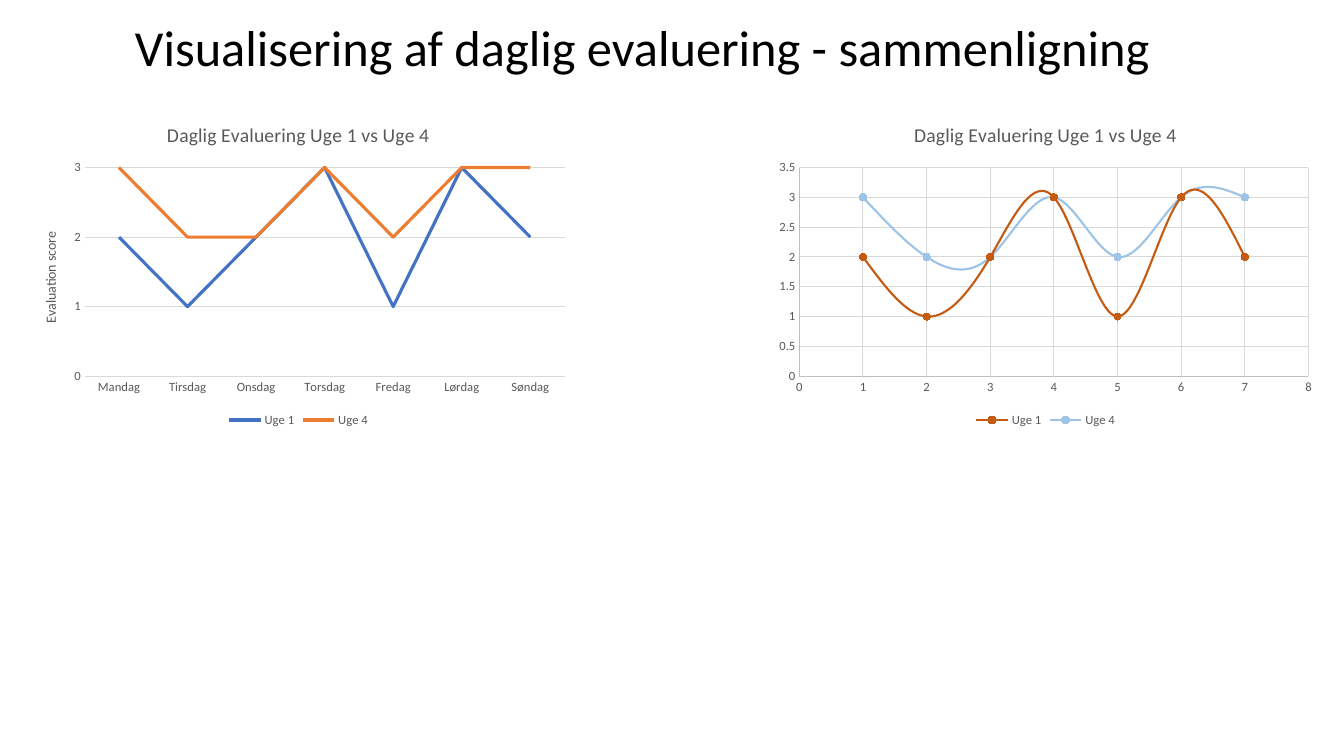
from dataclasses import dataclass
from typing import Optional

import pptx
import pptx.chart.data
import pptx.dml.color
import pptx.enum.chart
import pptx.util
from pptx.enum.chart import XL_CHART_TYPE

FONT = "Calibri"
GREY = "595959"
GRID = "D9D9D9"
AXIS = "BFBFBF"
HEADING = "Visualisering af daglig evaluering - sammenligning"
CHART_TITLE = "Daglig Evaluering Uge 1 vs Uge 4"
DAYS = ["Mandag", "Tirsdag", "Onsdag", "Torsdag", "Fredag", "Lørdag", "Søndag"]
SCORES = {"Uge 1": [2, 1, 2, 3, 1, 3, 2], "Uge 4": [3, 2, 2, 3, 2, 3, 3]}


@dataclass
class ChartPanel:
    left: float
    kind: XL_CHART_TYPE
    colors: list[str]
    line_width: float
    category_line: str
    value_line: Optional[str]
    maximum: float
    step: float
    value_title: Optional[str] = None

    @property
    def is_scatter(self) -> bool:
        return self.kind == XL_CHART_TYPE.XY_SCATTER_SMOOTH


PANELS = [
    ChartPanel(0.21, XL_CHART_TYPE.LINE, ["4472C4", "ED7D31"], 2.25,
               GRID, None, 3, 1, "Evaluation score"),
    ChartPanel(7.62, XL_CHART_TYPE.XY_SCATTER_SMOOTH, ["C55A11", "9DC3E6"], 1.5,
               AXIS, AXIS, 3.5, 0.5),
]


def rgb(color: str) -> pptx.dml.color.RGBColor:
    return pptx.dml.color.RGBColor.from_string(color)


def set_font(font, size: float, color: str) -> None:
    font.name = FONT
    font.size = pptx.util.Pt(size)
    font.bold = False
    font.color.rgb = rgb(color)


def set_line(line, color: Optional[str], width: float = 0.75) -> None:
    if color is None:
        line.fill.background()
        return
    line.color.rgb = rgb(color)
    line.width = pptx.util.Pt(width)


def set_title(owner, text: str, size: float) -> None:
    frame = owner.text_frame
    frame.text = text
    set_font(frame.paragraphs[0].font, size, GREY)


def style_axis(axis, line: Optional[str], has_grid: bool) -> None:
    axis.major_tick_mark = pptx.enum.chart.XL_TICK_MARK.NONE
    axis.minor_tick_mark = pptx.enum.chart.XL_TICK_MARK.NONE
    set_font(axis.tick_labels.font, 9, GREY)
    set_line(axis.format.line, line)
    axis.has_major_gridlines = has_grid
    if has_grid:
        set_line(axis.major_gridlines.format.line, GRID)


def chart_data(panel: ChartPanel):
    if panel.is_scatter:
        data = pptx.chart.data.XyChartData()
        for name, scores in SCORES.items():
            series = data.add_series(name)
            for day, score in enumerate(scores, start=1):
                series.add_data_point(day, score)
        return data
    data = pptx.chart.data.CategoryChartData()
    data.categories = DAYS
    for name, scores in SCORES.items():
        data.add_series(name, scores)
    return data


def style_series(series, panel: ChartPanel, color: str) -> None:
    set_line(series.format.line, color, panel.line_width)
    if not panel.is_scatter:
        series.smooth = False
        series.marker.style = pptx.enum.chart.XL_MARKER_STYLE.NONE
        return
    series._element.get_or_add_smooth().val = True
    marker = series.marker
    marker.style = pptx.enum.chart.XL_MARKER_STYLE.CIRCLE
    marker.size = 5
    marker.format.fill.solid()
    marker.format.fill.fore_color.rgb = rgb(color)
    set_line(marker.format.line, color)


def add_panel(page, panel: ChartPanel) -> None:
    left, top, width, height = map(pptx.util.Inches, (panel.left, 1.05, 5.5, 3.23))
    chart = page.shapes.add_chart(
        panel.kind, left, top, width, height, chart_data(panel)).chart
    set_font(chart.font, 10, "000000")
    chart.has_title = True
    set_title(chart.chart_title, CHART_TITLE, 14)
    chart.chart_title.include_in_layout = False
    chart.has_legend = True
    chart.legend.position = pptx.enum.chart.XL_LEGEND_POSITION.BOTTOM
    chart.legend.include_in_layout = False
    set_font(chart.legend.font, 9, GREY)
    chart.plots[0].vary_by_categories = False

    style_axis(chart.category_axis, panel.category_line, panel.is_scatter)
    style_axis(chart.value_axis, panel.value_line, True)
    chart.value_axis.minimum_scale = 0
    chart.value_axis.maximum_scale = panel.maximum
    chart.value_axis.major_unit = panel.step
    if panel.value_title:
        set_title(chart.value_axis.axis_title, panel.value_title, 10)
    for series, color in zip(chart.plots[0].series, panel.colors):
        style_series(series, panel, color)


def add_heading(page) -> None:
    left, top, width, height = map(pptx.util.Inches, (1.24, 0.11, 12.26, 0.71))
    box = page.shapes.add_textbox(left, top, width, height)
    box.text_frame.word_wrap = True
    para = box.text_frame.paragraphs[0]
    para.text = HEADING
    set_font(para.font, 36, "000000")


def main() -> None:
    deck = pptx.Presentation()
    deck.slide_width = pptx.util.Inches(13.33)
    deck.slide_height = pptx.util.Inches(7.5)
    page = deck.slides.add_slide(deck.slide_layouts[6])
    for panel in PANELS:
        add_panel(page, panel)
    add_heading(page)
    deck.save("out.pptx")


if __name__ == "__main__":
    main()
